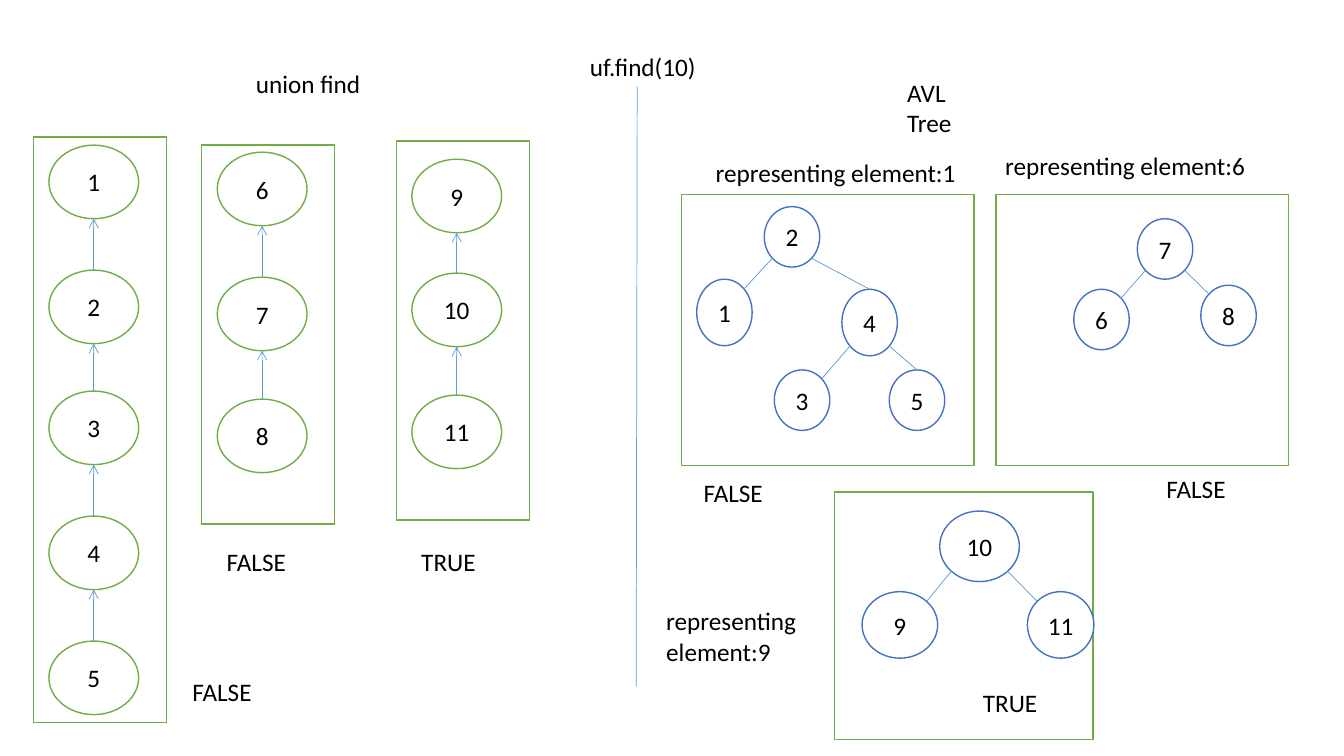
import math
import pptx
import pptx.util
import pptx.dml.color
import pptx.enum.shapes
import pptx.enum.text
import pptx.oxml

WIDTH, HEIGHT = 13.33, 7.5
GREEN, BLUE, LINK = "70AD47", "4472C4", "5B9BD5"
FONT = dict(name="Calibri", size=pptx.util.Pt(18), bold=False)
NODE_W, NODE_H, PANEL_W, NODE_INDENT = 0.89, 0.73, 1.32, 0.155

TITLE = ("uf.find(10)", 5.75, 0.46, 1.25, 0.4, True)
DIVIDER = (6.32, 0.86), (6.31, 6.81)
CHAINS = [
    dict(left=0.33, top=1.36, height=5.81,
         nodes={"1": 1.44, "2": 2.68, "3": 3.88, "4": 5.12, "5": 6.36}),
    dict(left=2, top=1.44, height=3.76,
         nodes={"6": 1.51, "7": 2.75, "8": 3.96}),
    dict(left=3.93, top=1.4, height=3.76,
         nodes={"9": 1.58, "10": 2.71, "11": 3.92}),
]
TREES = [
    dict(panel=(6.76, 1.93, 2.9, 2.69),
         nodes={"2": (7.58, 2.05, 0.55, 0.6), "1": (6.91, 2.77, 0.55, 0.66),
                "4": (8.35, 2.87, 0.55, 0.66), "3": (7.68, 3.67, 0.55, 0.6),
                "5": (8.82, 3.67, 0.55, 0.6)},
         edges=[("2", "1", False), ("2", "4", True),
                ("4", "3", False), ("4", "5", True)]),
    dict(panel=(9.88, 1.93, 2.9, 2.69),
         nodes={"7": (11.28, 2.17, 0.55, 0.6), "6": (10.65, 2.87, 0.55, 0.6),
                "8": (11.91, 2.83, 0.55, 0.6)},
         edges=[("7", "6", False), ("7", "8", False)]),
    dict(panel=(8.28, 4.88, 2.56, 2.46),
         nodes={"10": (9.32, 5.07, 0.79, 0.7), "9": (8.55, 5.87, 0.75, 0.66),
                "11": (10.19, 5.87, 0.66, 0.66)},
         edges=[("10", "9", False), ("10", "11", False)]),
]
LABELS = [
    ("union find", 2.44, 0.63, 1.24, 0.4, False),
    ("AVL Tree", 8.9, 0.72, 1.07, 0.4, False),
    ("representing element:1", 7, 1.51, 2.58, 0.4, True),
    ("representing element:6", 9.87, 1.44, 2.58, 0.4, True),
    ("representing element:9", 6.51, 5.96, 1.84, 0.71, True),
    ("FALSE", 1.81, 6.66, 0.79, 0.4, False),
    ("FALSE", 2.15, 5.37, 0.79, 0.4, False),
    ("TRUE", 4.08, 5.37, 0.74, 0.4, False),
    ("FALSE", 6.88, 4.69, 0.79, 0.4, False),
    ("FALSE", 11.47, 4.65, 0.79, 0.4, False),
    ("TRUE", 9.65, 6.77, 0.74, 0.4, False),
]

prs = pptx.Presentation()
prs.slide_width, prs.slide_height = pptx.util.Inches(WIDTH), pptx.util.Inches(HEIGHT)
slide = prs.slides.add_slide(prs.slide_layouts[5])
SHAPE = pptx.enum.shapes.MSO_SHAPE
ALIGN = pptx.enum.text.PP_ALIGN
ANCHOR = pptx.enum.text.MSO_ANCHOR


def inches(*values):
    return [pptx.util.Inches(v) for v in values]


def rgb(value):
    return pptx.dml.color.RGBColor.from_string(value)


def set_all(target, **values):
    for name, value in values.items():
        setattr(target, name, value)


def write(sp, text, align, **frame):
    tf = sp.text_frame
    set_all(tf, **frame)
    p = tf.paragraphs[0]
    p.alignment = align
    r = p.add_run()
    r.text = text
    set_all(r.font, **FONT)
    r.font.color.rgb = rgb("000000")


def label(sp, text, left, top, width, height, wrap):
    write(sp, text, ALIGN.LEFT, word_wrap=wrap, vertical_anchor=ANCHOR.TOP,
          auto_size=pptx.enum.text.MSO_AUTO_SIZE.SHAPE_TO_FIT_TEXT)
    box = inches(left, top, width, height)
    set_all(sp, **dict(zip(("left", "top", "width", "height"), box)))


def outline(kind, box, color):
    sp = slide.shapes.add_shape(kind, *inches(*box))
    sp.shadow.inherit = False
    sp.fill.solid()
    sp.fill.fore_color.rgb = rgb("FFFFFF")
    sp.line.color.rgb = rgb(color)
    sp.line.width = pptx.util.Pt(1)
    return sp


def node(text, box, color):
    sp = outline(SHAPE.OVAL, box, color)
    write(sp, text, ALIGN.CENTER, word_wrap=True, vertical_anchor=ANCHOR.MIDDLE,
          margin_left=0, margin_right=0)
    return sp


def link(start, end, arrow=False):
    cx = slide.shapes.add_connector(
        pptx.enum.shapes.MSO_CONNECTOR.STRAIGHT, *inches(*start, *end))
    cx.line.color.rgb = rgb(LINK)
    cx.line.width = pptx.util.Pt(0.5)
    if arrow:
        tail = pptx.oxml.parse_xml(
            '<a:tailEnd xmlns:a="http://schemas.openxmlformats.org/drawingml/2006/main" type="arrow"/>')
        cx.line._get_or_add_ln().append(tail)
    cx._element.spPr.append(pptx.oxml.parse_xml(
        '<a:effectLst xmlns:a="http://schemas.openxmlformats.org/drawingml/2006/main"/>'))
    return cx


def rim(box, dx, dy):
    left, top, width, height = box
    reach = math.hypot(dx, dy)
    return left + width / 2 * (1 + dx / reach), top + height / 2 * (1 + dy / reach)


def draw_chain(left, top, height, nodes):
    outline(SHAPE.RECTANGLE, (left, top, PANEL_W, height), GREEN)
    above = None
    for text, y in nodes.items():
        box = (left + NODE_INDENT, y, NODE_W, NODE_H)
        sp = node(text, box, GREEN)
        if above:
            link(rim(box, 0, -1), rim(above, 0, 1), arrow=True).begin_connect(sp, 0)
        above = box


def draw_tree(panel, nodes, edges):
    outline(SHAPE.RECTANGLE, panel, GREEN)
    ovals = {text: node(text, box, BLUE) for text, box in nodes.items()}
    for parent, child, at_top in edges:
        side = 1 if nodes[child][0] > nodes[parent][0] else -1
        start = rim(nodes[child], 0 if at_top else -side, -1)
        cx = link(start, rim(nodes[parent], side, 1))
        if at_top:
            cx.begin_connect(ovals[child], 0)


label(slide.shapes.title, *TITLE)
link(*DIVIDER)
for tree in TREES:
    draw_tree(**tree)
for chain in CHAINS:
    draw_chain(**chain)
for item in LABELS:
    label(slide.shapes.add_textbox(*inches(*item[1:5])), *item)

prs.save("out.pptx")
